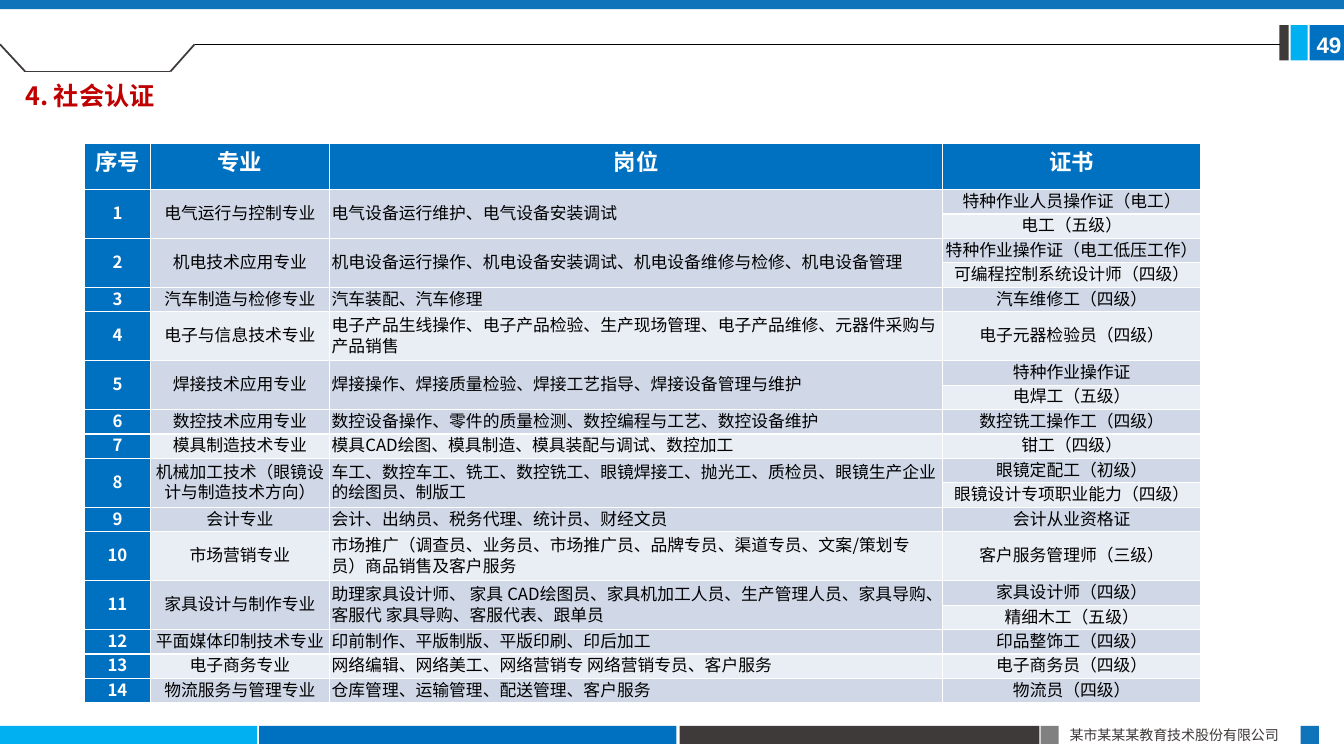
import pptx
import pptx.dml.color
import pptx.enum.shapes
import pptx.enum.text
import pptx.oxml.ns
import pptx.util
from lxml import etree

Inches = pptx.util.Inches
Pt = pptx.util.Pt
RGBColor = pptx.dml.color.RGBColor
ALIGN = pptx.enum.text.PP_ALIGN
ANCHOR = pptx.enum.text.MSO_ANCHOR
qn = pptx.oxml.ns.qn

WHITE = RGBColor(0xFF, 0xFF, 0xFF)
BLACK = RGBColor(0x00, 0x00, 0x00)
CYAN = RGBColor(0x00, 0xB0, 0xF0)
BLUE = RGBColor(0x00, 0x70, 0xC0)
STEEL_BLUE = RGBColor(0x10, 0x74, 0xBB)
CHARCOAL = RGBColor(0x3E, 0x3A, 0x39)
GRAY = RGBColor(0x80, 0x80, 0x80)
RED = RGBColor(0xC0, 0x00, 0x00)
BAND_DARK = RGBColor(0xD0, 0xD8, 0xE8)
BAND_LIGHT = RGBColor(0xE9, 0xED, 0xF4)

CJK_FONT = "Noto Sans CJK SC"

BARS = [
    (0, 7.2, 2.55, 0.18, CYAN),
    (2.57, 7.2, 4.14, 0.18, BLUE),
    (6.74, 7.2, 3.57, 0.18, CHARCOAL),
    (10.32, 7.2, 0.18, 0.18, GRAY),
    (12.9, 7.2, 0.18, 0.18, STEEL_BLUE),
    (12.99, 0.25, 0.35, 0.35, BLUE),
    (12.8, 0.25, 0.17, 0.35, CYAN),
    (12.69, 0.25, 0.09, 0.35, CHARCOAL),
    (0, 0, 13.33, 0.09, STEEL_BLUE),
]
TAB_POINTS = [(0, 0.44), (0.25, 0.71), (1.69, 0.71), (1.93, 0.44)]

HEADERS = ["序号", "专业", "岗位", "证书"]
COLUMN_WIDTHS = [0.65, 1.78, 6.08, 2.56]
HEADER_HEIGHT = 0.46
TABLE_HEIGHT = 5.56
TALL_MAJORS = ("电子与信息技术专业", "市场营销专业")
MAJORS = [
    ("电气运行与控制专业", "电气设备运行维护、电气设备安装调试",
     ["特种作业人员操作证（电工）", "电工（五级）"]),
    ("机电技术应用专业", "机电设备运行操作、机电设备安装调试、机电设备维修与检修、机电设备管理",
     ["特种作业操作证（电工低压工作）", "可编程控制系统设计师（四级）"]),
    ("汽车制造与检修专业", "汽车装配、汽车修理", ["汽车维修工（四级）"]),
    ("电子与信息技术专业",
     "电子产品生线操作、电子产品检验、生产现场管理、电子产品维修、元器件采购与产品销售",
     ["电子元器检验员（四级）"]),
    ("焊接技术应用专业", "焊接操作、焊接质量检验、焊接工艺指导、焊接设备管理与维护",
     ["特种作业操作证", "电焊工（五级）"]),
    ("数控技术应用专业", "数控设备操作、零件的质量检测、数控编程与工艺、数控设备维护",
     ["数控铣工操作工（四级）"]),
    ("模具制造技术专业", "模具CAD绘图、模具制造、模具装配与调试、数控加工", ["钳工（四级）"]),
    ("机械加工技术（眼镜设计与制造技术方向）",
     "车工、数控车工、铣工、数控铣工、眼镜焊接工、抛光工、质检员、眼镜生产企业的绘图员、制版工",
     ["眼镜定配工（初级）", "眼镜设计专项职业能力（四级）"]),
    ("会计专业", "会计、出纳员、税务代理、统计员、财经文员", ["会计从业资格证"]),
    ("市场营销专业",
     "市场推广（调查员、业务员、市场推广员、品牌专员、渠道专员、文案/策划专员）商品销售及客户服务",
     ["客户服务管理师（三级）"]),
    ("家具设计与制作专业",
     "助理家具设计师、 家具 CAD绘图员、家具机加工人员、生产管理人员、家具导购、客服代 家具导购、客服代表、跟单员",
     ["家具设计师（四级）", "精细木工（五级）"]),
    ("平面媒体印制技术专业", "印前制作、平版制版、平版印刷、印后加工", ["印品整饰工（四级）"]),
    ("电子商务专业", "网络编辑、网络美工、网络营销专 网络营销专员、客户服务", ["电子商务员（四级）"]),
    ("物流服务与管理专业", "仓库管理、运输管理、配送管理、客户服务", ["物流员（四级）"]),
]


def write_text(paragraph, text, size, color, bold=False, name=CJK_FONT):
    run = paragraph.add_run()
    run.text = text
    for attribute, value in {"size": Pt(size), "bold": bold, "name": name}.items():
        setattr(run.font, attribute, value)
    run.font.color.rgb = color
    etree.SubElement(run._r.get_or_add_rPr(), qn("a:ea"), typeface=name)


def add_bar(slide, left, top, width, height, color):
    bar = slide.shapes.add_shape(
        pptx.enum.shapes.MSO_SHAPE.RECTANGLE,
        Inches(left), Inches(top), Inches(width), Inches(height))
    bar.shadow.inherit = False
    bar.fill.solid()
    bar.fill.fore_color.rgb = color
    bar.line.fill.background()


def add_line(slide, start, end, color, width):
    line = slide.shapes.add_connector(
        pptx.enum.shapes.MSO_CONNECTOR.STRAIGHT, *map(Inches, start + end))
    line.line.color.rgb = color
    line.line.width = Pt(width)
    etree.SubElement(line._element.spPr, qn("a:effectLst"))


def add_label(slide, box, text, size, color, alignment=ALIGN.LEFT, **font):
    label = slide.shapes.add_textbox(*map(Inches, box))
    label.text_frame.word_wrap = True
    paragraph = label.text_frame.paragraphs[0]
    paragraph.alignment = alignment
    write_text(paragraph, text, size, color, **font)


def set_title(slide, text):
    title = slide.shapes.title
    box = {"left": 0.15, "top": 0.75, "width": 3.46, "height": 0.4}
    for attribute, value in box.items():
        setattr(title, attribute, Inches(value))
    title.text_frame.vertical_anchor = ANCHOR.TOP
    paragraph = title.text_frame.paragraphs[0]
    paragraph.alignment = ALIGN.LEFT
    write_text(paragraph, text, 18, RED, bold=True)


def fill_cell(cell, text, fill, size=12, color=BLACK, bold=False, alignment=ALIGN.CENTER):
    layout = {"margin_left": Inches(0.02), "margin_right": Inches(0.02),
              "margin_top": 0, "margin_bottom": 0, "vertical_anchor": ANCHOR.MIDDLE}
    for attribute, value in layout.items():
        setattr(cell, attribute, value)
    cell.fill.solid()
    cell.fill.fore_color.rgb = fill
    paragraph = cell.text_frame.paragraphs[0]
    paragraph.alignment = alignment
    paragraph.line_spacing = Pt(15)
    write_text(paragraph, text, size, color, bold)


def add_certificate_table(slide):
    row_count = 1 + sum(len(certificates) for _, _, certificates in MAJORS)
    table = slide.shapes.add_table(
        row_count, len(HEADERS), Inches(0.84), Inches(1.42),
        Inches(sum(COLUMN_WIDTHS)), Inches(TABLE_HEIGHT)).table
    for column, width in zip(table.columns, COLUMN_WIDTHS):
        column.width = Inches(width)
    line_count = row_count - 1 + len(TALL_MAJORS)
    row_height = (TABLE_HEIGHT - HEADER_HEIGHT) / line_count
    for row in table.rows:
        row.height = Inches(row_height)
    table.rows[0].height = Inches(HEADER_HEIGHT)
    for column, header in enumerate(HEADERS):
        fill_cell(table.cell(0, column), header, BLUE, 16, WHITE, True)

    top = 1
    for number, (major, posts, certificates) in enumerate(MAJORS, 1):
        bottom = top + len(certificates) - 1
        if major in TALL_MAJORS:
            table.rows[top].height = Inches(2 * row_height)
        if bottom > top:
            for column in range(3):
                table.cell(top, column).merge(table.cell(bottom, column))
        bands = [BAND_DARK if row % 2 else BAND_LIGHT for row in range(top, bottom + 1)]
        fill_cell(table.cell(top, 0), str(number), BLUE, color=WHITE, bold=True)
        fill_cell(table.cell(top, 1), major, bands[0])
        fill_cell(table.cell(top, 2), posts, bands[0], alignment=ALIGN.LEFT)
        for offset, certificate in enumerate(certificates):
            fill_cell(table.cell(top + offset, 3), certificate, bands[offset])
        top = bottom + 1


def main():
    presentation = pptx.Presentation()
    presentation.slide_width = Inches(13.33)
    presentation.slide_height = Inches(7.5)
    slide = presentation.slides.add_slide(presentation.slide_layouts[5])
    for bar in BARS:
        add_bar(slide, *bar)
    for start, end in zip(TAB_POINTS, TAB_POINTS[1:]):
        add_line(slide, start, end, CHARCOAL, 1.25)
    add_line(slide, TAB_POINTS[-1], (12.7, 0.44), BLACK, 0.5)
    add_label(slide, (10.51, 7.16, 2.4, 0.27), "某市某某某教育技术股份有限公司",
              10, CHARCOAL, ALIGN.JUSTIFY)
    add_label(slide, (12.96, 0.26, 0.5, 0.37), "49", 16, WHITE, bold=True, name="Arial")
    add_certificate_table(slide)
    set_title(slide, "4. 社会认证")
    presentation.save("out.pptx")


if __name__ == "__main__":
    main()
